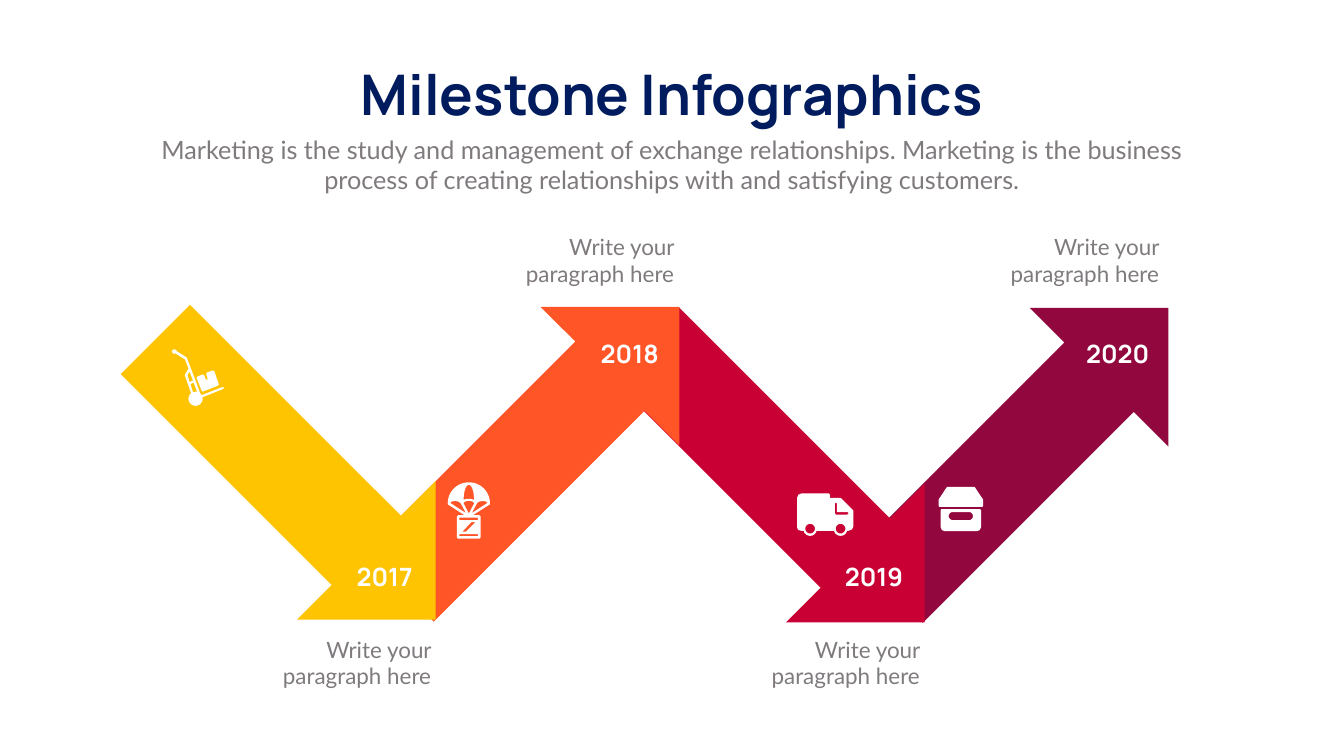
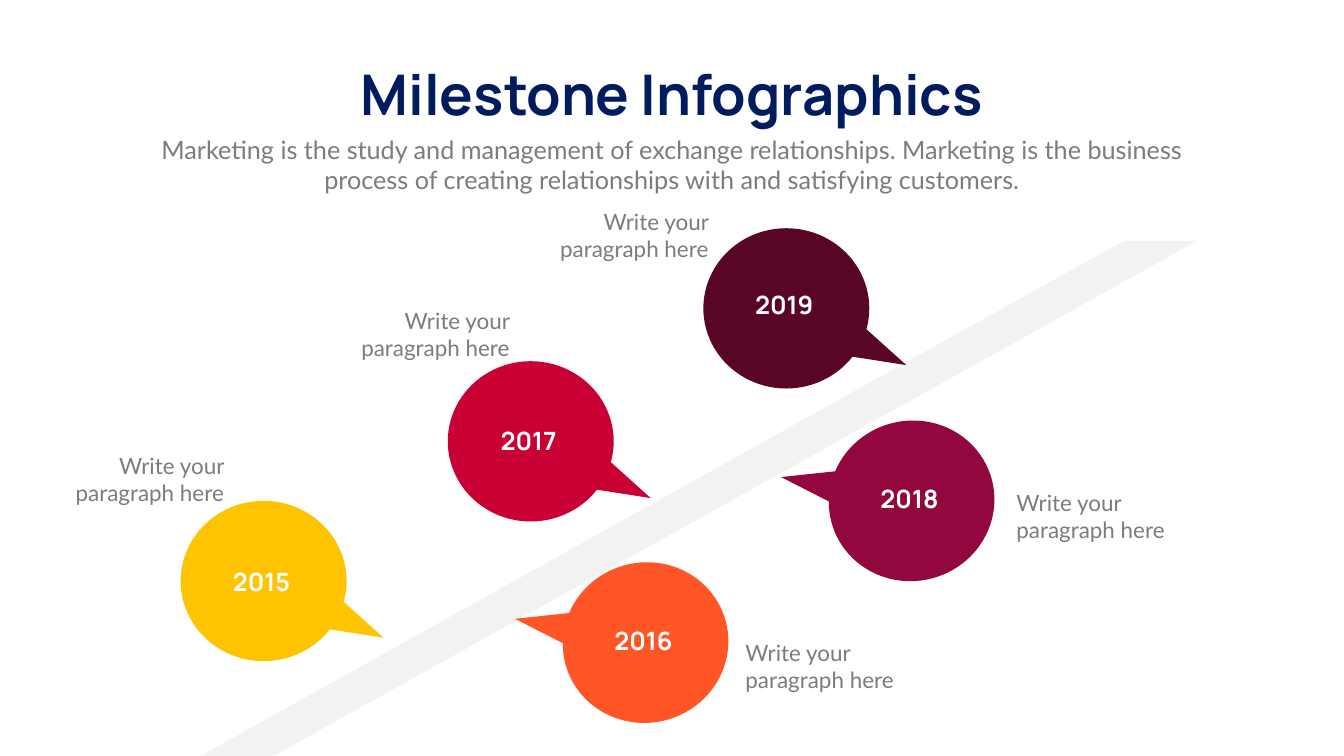
from math import cos, radians, sin

from lxml.etree import SubElement
from pptx import Presentation
from pptx.dml.color import RGBColor
from pptx.enum.shapes import MSO_SHAPE
from pptx.enum.text import MSO_ANCHOR, PP_ALIGN
from pptx.oxml.ns import qn
from pptx.util import Pt

NAVY, GREY, WHITE, PALE = "001C5E", "7F7A7E", "FFFFFF", "F2F2F2"
GOLD, ORANGE, RED, PLUM, WINE = "FEC402", "FF5527", "C90034", "92073E", "590626"
HEAD, BODY = "Manrope", "Lato"
LEFT, MID, RIGHT = PP_ALIGN.LEFT, PP_ALIGN.CENTER, PP_ALIGN.RIGHT

TITLE = "Milestone Infographics"
INTRO = ("Marketing is the study and management of exchange relationships. "
         "Marketing is the business process of creating relationships with "
         "and satisfying customers.")
NOTE = "Write your paragraph here"

# year, colour, arrow (x, y, turn), year (x, y), note (x, y)
ARROWS = [
    ("2017", GOLD, (282, 402, 315), (445.5, 799), (387.5, 904.5)),
    ("2018", ORANGE, (630, 355.5, 225), (797, 480), (734.5, 330)),
    ("2019", RED, (980.5, 406, 315), (1146, 799), (1085.5, 904.5)),
    ("2020", PLUM, (1328.5, 357, 225), (1497.5, 480), (1427, 330)),
]
# year, colour, callout (x, y, turn), drop to year, note (x, y, align)
CALLS = [
    ("2015", GOLD, (258, 715.5, 0), 90, (93, 642, RIGHT)),
    ("2016", ORANGE, (803.5, 803.5, 165), 86, (1057.5, 909.5, LEFT)),
    ("2017", RED, (639.5, 516, 0), 88.5, (501, 435, RIGHT)),
    ("2018", PLUM, (1183.5, 601, 165), 86, (1444.5, 695.5, LEFT)),
    ("2019", WINE, (1004.5, 326, 0), 84, (785, 294, RIGHT)),
]


def paint(code):
    return RGBColor.from_string(code)


def write(frame, text, size=32, font=BODY, color=GREY, bold=False, align=MID,
          wrap=True):
    frame.word_wrap = wrap
    frame.vertical_anchor = MSO_ANCHOR.TOP
    para = frame.paragraphs[0]
    para.text = text
    para.alignment = align
    para.space_before = Pt(0)
    face = para.font
    face.size, face.name, face.bold = Pt(size), font, bold
    face.color.rgb = paint(color)


def label(slide, text, x, y, w, h, **style):
    box = slide.shapes.add_textbox(Pt(x), Pt(y), Pt(w), Pt(h))
    write(box.text_frame, text, **style)


def year(slide, text, x, y, align):
    label(slide, text, x, y, 151, 51, size=36, font=HEAD, color=WHITE,
          bold=True, align=align)


def note(slide, x, y, align=RIGHT, w=234):
    label(slide, NOTE, x, y, w, 85, align=align)


def flat(shape, color):
    """Give a shape a plain fill with no line or shadow."""
    shape.shadow.inherit = False
    shape.fill.solid()
    shape.fill.fore_color.rgb = paint(color)
    shape.line.fill.background()


def block(slide, kind, color, x, y, w, h, turn=0, adjust=()):
    shape = slide.shapes.add_shape(kind, Pt(x), Pt(y), Pt(w), Pt(h))
    flat(shape, color)
    shape.rotation = turn
    for i, value in enumerate(adjust):
        shape.adjustments[i] = value


def place(holder, x, y, w, h):
    holder.left, holder.top = Pt(x), Pt(y)
    holder.width, holder.height = Pt(w), Pt(h)


def start(deck):
    """Add a slide with the shared heading and intro."""
    slide = deck.slides.add_slide(deck.slide_layouts[1])
    title, intro = slide.shapes.title, slide.placeholders[1]
    place(title, 476, 82, 967, 104.5)
    place(intro, 210, 188, 1499, 94.5)
    props = intro.text_frame.paragraphs[0]._p.get_or_add_pPr()
    props.set("marL", "0")
    props.set("indent", "0")
    SubElement(props, qn("a:buNone"))
    write(title.text_frame, TITLE, size=80, font=HEAD, color=NAVY, bold=True,
          wrap=False)
    write(intro.text_frame, INTRO, size=36)
    return slide


def arc(x, y, rx, ry, first=0, last=360, steps=24):
    """Points on an ellipse; 90 degrees is its lowest point."""
    turns = [radians(first + (last - first) * i / steps)
             for i in range(steps + 1)]
    return [(x + rx * cos(t), y + ry * sin(t)) for t in turns]


def rect(x1, y1, x2, y2):
    return [(x1, y1), (x2, y1), (x2, y2), (x1, y2)]


def trace(slide, x, y, rings):
    """Draw closed rings as one white form; inner rings become holes."""
    rings = [[(px * 10, py * 10) for px, py in ring] for ring in rings]
    pen = slide.shapes.build_freeform(*rings[0][0], scale=Pt(0.1))
    pen.add_line_segments(rings[0][1:])
    for ring in rings[1:]:
        pen.move_to(*ring[0])
        pen.add_line_segments(ring[1:])
    flat(pen.convert_to_shape(Pt(x), Pt(y)), WHITE)


def chute(slide, x, y):
    cell = [(3.6, 29.5), (5.5, 27.5), (10.8, 26.6), (16, 27.8), (18.7, 30.2),
            (26, 44)]
    trace(slide, x, y, [
        arc(30.2, 30.2, 30.2, 30.2, 180, 360) + [
            (60, 31.7), (36, 47), (45, 47), (47, 49), (47, 79), (45, 80.6),
            (15, 80.6), (13, 79), (13, 49), (15, 47), (24, 47), (0.4, 31.7)],
        arc(30.2, 25, 7.5, 21.4, 180, 360) + [(34, 23.8), (26, 23.8)],
        arc(30.2, 30.2, 7.5, 3.6, 180, 360) + [(30.2, 44.6)],
        cell,
        [(60.4 - px, py) for px, py in cell],
        rect(16.5, 50.4, 43.2, 54),
        rect(16.5, 74.2, 43.2, 77),
        [(20.9, 70.6), (33.8, 56.9), (39.6, 56.9), (25.9, 70.6)],
    ])


def truck(slide, x, y):
    wheels = 18.7, 62.2
    under = [p for cx in wheels for p in arc(cx, 51, 9.6, 9.6, 165, 15)]
    cab = [(74.2, 53.3), (78.7, 51.2), (80.6, 46.8), (80.6, 25), (80, 23.8),
           (63.4, 7.2), (61.9, 6.5), (46.8, 6.5), (46.8, 1.4), (45.4, 0)]
    hold = [(6.5, 0), (1.9, 1.9), (0, 6.5), (0, 48.2), (1.4, 51.8), (5, 53.3)]
    pane = [(55.4, 13), (56.9, 14.4), (56.9, 26.6), (72, 26.6), (74, 28.1),
            (72, 30.2), (55.4, 30.2), (54, 28.1), (54, 14.4)]
    hubs = [arc(cx, 50.4, 6.9, 6.9) for cx in wheels]
    trace(slide, x, y, [hold + under + cab, pane, *hubs])


def trolley(slide, x, y):
    frame = [(74.2, 54.7), (72, 54), (42.5, 65.5), (40.3, 62.6), (33.8, 44.6),
             (21.6, 13), (20.9, 11.5), (7.2, 2.9), (6, 0.8), (3.6, 0),
             (1, 1), (0, 2.9), (1, 5.4), (3.6, 6.5), (5, 5.8), (18.7, 14.4),
             (23.8, 27.4), (18.7, 36), (18.7, 37.4), (27.4, 62.6)]
    wheel = arc(33.8, 70.6, 10.1, 10.1, 230, -12)
    trace(slide, x, y, [
        frame + wheel + [(72.7, 56.9), (74, 56)],
        [(22.3, 36.7), (25.2, 31.7), (30.2, 44.6), (25.2, 46.8)],
        [(33.8, 60.5), (30.2, 61.2), (26.6, 49.7), (31, 47.5), (36, 60.5)],
    ])
    trace(slide, x, y, [[
        (42.5, 59), (43.9, 60.5), (66.2, 51.8), (67, 49.7), (60.5, 31),
        (58.3, 30.2), (50.4, 33.1), (49, 35.3), (51.1, 41.8), (50.4, 43.9),
        (48.2, 42.5), (46.1, 36.7), (43.9, 36), (36.7, 38.9), (35.3, 41)]])


def carton(slide, x, y):
    trace(slide, x, y, [[
        (0, 18), (11.5, 0.7), (13, 0), (50.4, 0), (51.8, 0.7), (63.4, 18),
        (63.4, 27.4), (61.9, 28.8), (1.4, 28.8), (0, 27.4)]])
    trace(slide, x, y, [
        [(4.3, 31.7), (59, 31.7), (60.5, 33.1), (60.5, 57.6), (58.8, 61.7),
         (54.7, 63.4), (8.6, 63.4), (4.6, 61.7), (2.9, 57.6), (2.9, 33.1)],
        arc(20.2, 41.8, 5.8, 5.8, 90, 270)
        + arc(43.2, 41.8, 5.8, 5.8, -90, 90),
    ])


def zigzag(deck):
    slide = start(deck)
    for _, color, (x, y, turn), _, _ in reversed(ARROWS):
        block(slide, MSO_SHAPE.DOWN_ARROW, color, x, y, 280, 566, turn)
    for text, _, _, spot, aside in ARROWS:
        year(slide, text, *spot, RIGHT)
        note(slide, *aside, w=235.5)
    chute(slide, 639.4, 689)
    truck(slide, 1138.3, 704.9)
    trolley(slide, 245.5, 499)
    carton(slide, 1340.6, 695.5)


def road(deck):
    slide = start(deck)
    block(slide, MSO_SHAPE.PARALLELOGRAM, PALE, 284.5, 344, 1425, 737,
          adjust=[1.792])
    for _, color, (x, y, turn), _, _ in CALLS:
        block(slide, MSO_SHAPE.OVAL_CALLOUT, color, x, y, 237, 229, turn,
              [0.723, 0.354])
    for text, _, (x, y, _), drop, aside in CALLS:
        year(slide, text, x + 40, y + drop, MID)
        note(slide, *aside)


def main():
    deck = Presentation()
    deck.slide_width, deck.slide_height = Pt(1919.5), Pt(1080)
    zigzag(deck)
    road(deck)
    deck.save("out.pptx")


if __name__ == "__main__":
    main()
